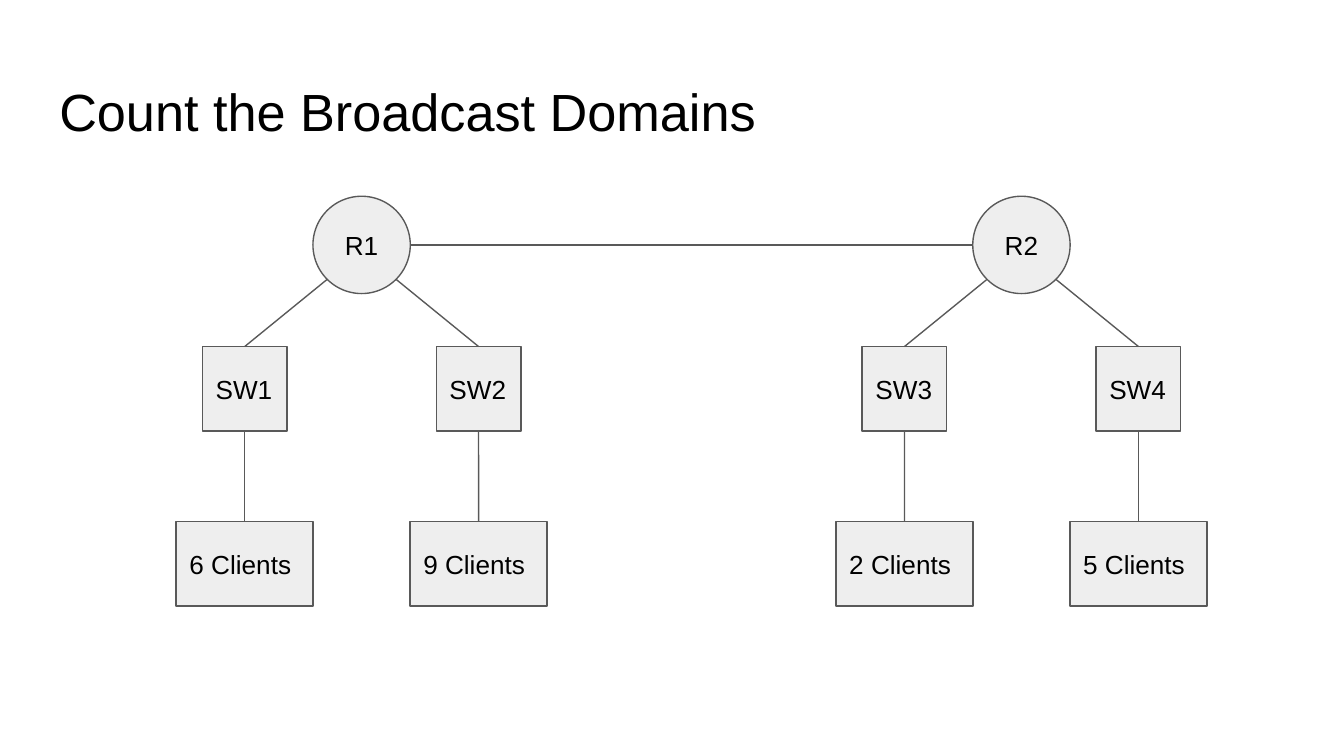
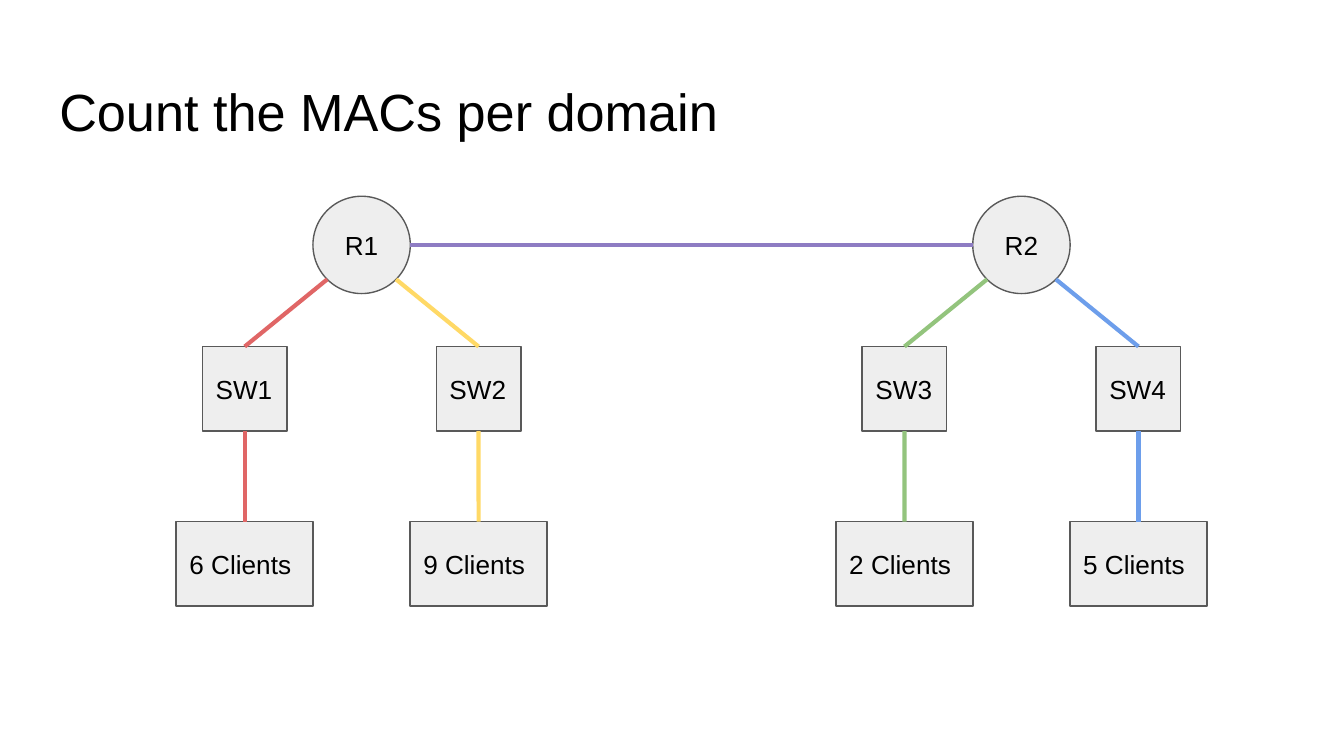
"""Two slides of one network diagram: broadcast domains, then MACs per domain."""
from math import cos, pi, sin

from lxml.etree import SubElement
from pptx import Presentation
from pptx.dml.color import RGBColor
from pptx.enum.shapes import MSO_CONNECTOR, MSO_SHAPE
from pptx.enum.text import MSO_ANCHOR, MSO_AUTO_SIZE, PP_ALIGN
from pptx.oxml.ns import qn
from pptx.util import Cm, Pt

CIRCLE, SQUARE = MSO_SHAPE.OVAL, MSO_SHAPE.RECTANGLE
STRAIGHT = MSO_CONNECTOR.STRAIGHT
LEFT, CENTER = PP_ALIGN.LEFT, PP_ALIGN.CENTER
TOP, MIDDLE = MSO_ANCHOR.TOP, MSO_ANCHOR.MIDDLE
NO_AUTOFIT = MSO_AUTO_SIZE.NONE

COLORS = {
    "background": "FFFFFF", "text": "000000", "node": "EEEEEE", "outline": "595959",
    "red": "E06666", "yellow": "FFD966", "green": "93C47D", "blue": "6D9EEB",
    "purple": "8E7CC3",
}
FONT = "Arial"
INSET = 0.25
THIN, THICK = 0.75, 2.25

# All lengths in centimetres
TITLE_BOX = (0.87, 1.24, 23.67, 1.6)
NETWORK_BOX = (3.33, 3.71, 19.48, 7.75)
SITE_WIDTH = 7.01
ROUTER_SIZE, SWITCH_SIZE, CLIENTS_WIDTH = 1.84, 1.6, 2.59
SWITCH_DROP = 2.84

SITES = [
    ("R1", [("SW1", "6 Clients"), ("SW2", "9 Clients")]),
    ("R2", [("SW3", "2 Clients"), ("SW4", "5 Clients")]),
]
# Connection sites run counter-clockwise from the top: 4 on a box, 8 on a circle
BOX_TOP, BOX_BOTTOM = 0, 2
CIRCLE_LEFT, CIRCLE_RIGHT = 2, 6
CIRCLE_LOWER = (3, 5)


def rgb(name):
    """Return the named palette colour."""
    return RGBColor.from_string(COLORS[name])


def write_text(shape, text, size=14, color="text", align=LEFT, anchor=MIDDLE):
    """Put one formatted paragraph into a shape."""
    frame = shape.text_frame
    frame.word_wrap = True
    frame.auto_size = NO_AUTOFIT
    frame.vertical_anchor = anchor
    frame.margin_left = frame.margin_right = Cm(INSET)
    frame.margin_top = frame.margin_bottom = Cm(INSET)
    para = frame.paragraphs[0]
    para.alignment = align
    span = para.add_run()
    span.text = text
    span.font.name, span.font.size = FONT, Pt(size)
    span.font.color.rgb = rgb(color)


def add_title(page, text, box):
    """Place and format the title placeholder in its box."""
    title = page.shapes.title
    title.left, title.top, title.width, title.height = map(Cm, box)
    write_text(title, text, size=28, anchor=TOP)


def add_node(page, kind, text, center, top, width, height, align=LEFT):
    """Draw a labelled device centred on a vertical axis."""
    node = page.shapes.add_shape(
        kind, Cm(center - width / 2), Cm(top), Cm(width), Cm(height))
    node.shadow.inherit = False
    node.fill.solid()
    node.fill.fore_color.rgb = rgb("node")
    node.line.color.rgb = rgb("outline")
    node.line.width = Pt(THIN)
    write_text(node, text, align=align)
    return node


def site_point(node, site):
    """Return the position of a node's connection site."""
    count = 8 if node.auto_shape_type == CIRCLE else 4
    angle = 2 * pi * site / count
    return (round(node.left + node.width / 2 * (1 - sin(angle))),
            round(node.top + node.height / 2 * (1 - cos(angle))))


def add_link(page, start, start_site, end, end_site, color, weight):
    """Join two nodes with a straight line attached at both ends."""
    link = page.shapes.add_connector(
        STRAIGHT, *site_point(start, start_site), *site_point(end, end_site))
    link.line.color.rgb = rgb(color)
    link.line.width = Pt(weight)
    element = link._element
    SubElement(element.find(qn("p:spPr")), qn("a:effectLst"))
    ends = element.find(".//" + qn("p:cNvCxnSpPr"))
    for tag, node, site in (("a:stCxn", start, start_site), ("a:endCxn", end, end_site)):
        SubElement(ends, qn(tag), id=str(node.shape_id), idx=str(site))


def add_site(page, box, router_name, branches, colors, weight):
    """Draw a router above its switches and their clients; return the router."""
    left, top, width, height = box
    router = add_node(page, CIRCLE, router_name, left + width / 2, top,
                      ROUTER_SIZE, ROUTER_SIZE, align=CENTER)
    first = left + CLIENTS_WIDTH / 2
    step = (width - CLIENTS_WIDTH) / (len(branches) - 1)
    for index, (switch_name, clients_name) in enumerate(branches):
        center = first + index * step
        switch = add_node(page, SQUARE, switch_name, center, top + SWITCH_DROP,
                          SWITCH_SIZE, SWITCH_SIZE)
        clients = add_node(page, SQUARE, clients_name, center,
                           top + height - SWITCH_SIZE, CLIENTS_WIDTH, SWITCH_SIZE)
        color = colors[index]
        add_link(page, router, CIRCLE_LOWER[index], switch, BOX_TOP, color, weight)
        add_link(page, switch, BOX_BOTTOM, clients, BOX_TOP, color, weight)
    return router


def add_network(page, box, site_colors, trunk_color, weight):
    """Draw both sites at the ends of the box and the trunk between routers."""
    left, top, width, height = box
    routers = []
    for index, (router_name, branches) in enumerate(SITES):
        site_box = (left + index * (width - SITE_WIDTH), top, SITE_WIDTH, height)
        routers.append(add_site(page, site_box, router_name, branches,
                                site_colors[index], weight))
    add_link(page, routers[0], CIRCLE_RIGHT, routers[1], CIRCLE_LEFT,
             trunk_color, weight)


def add_page(deck, title, site_colors, trunk_color, weight):
    """Add a title-only slide with the network diagram."""
    page = deck.slides.add_slide(deck.slide_layouts.get_by_name("Title Only"))
    page.background.fill.solid()
    page.background.fill.fore_color.rgb = rgb("background")
    add_title(page, title, TITLE_BOX)
    add_network(page, NETWORK_BOX, site_colors, trunk_color, weight)


def main():
    """Build and save the deck."""
    deck = Presentation()
    deck.slide_width, deck.slide_height = Cm(25.4), Cm(14.29)
    add_page(deck, "Count the Broadcast Domains",
             [("outline", "outline")] * 2, "outline", THIN)
    add_page(deck, "Count the MACs per domain",
             [("red", "yellow"), ("green", "blue")], "purple", THICK)
    deck.save("out.pptx")


main()
